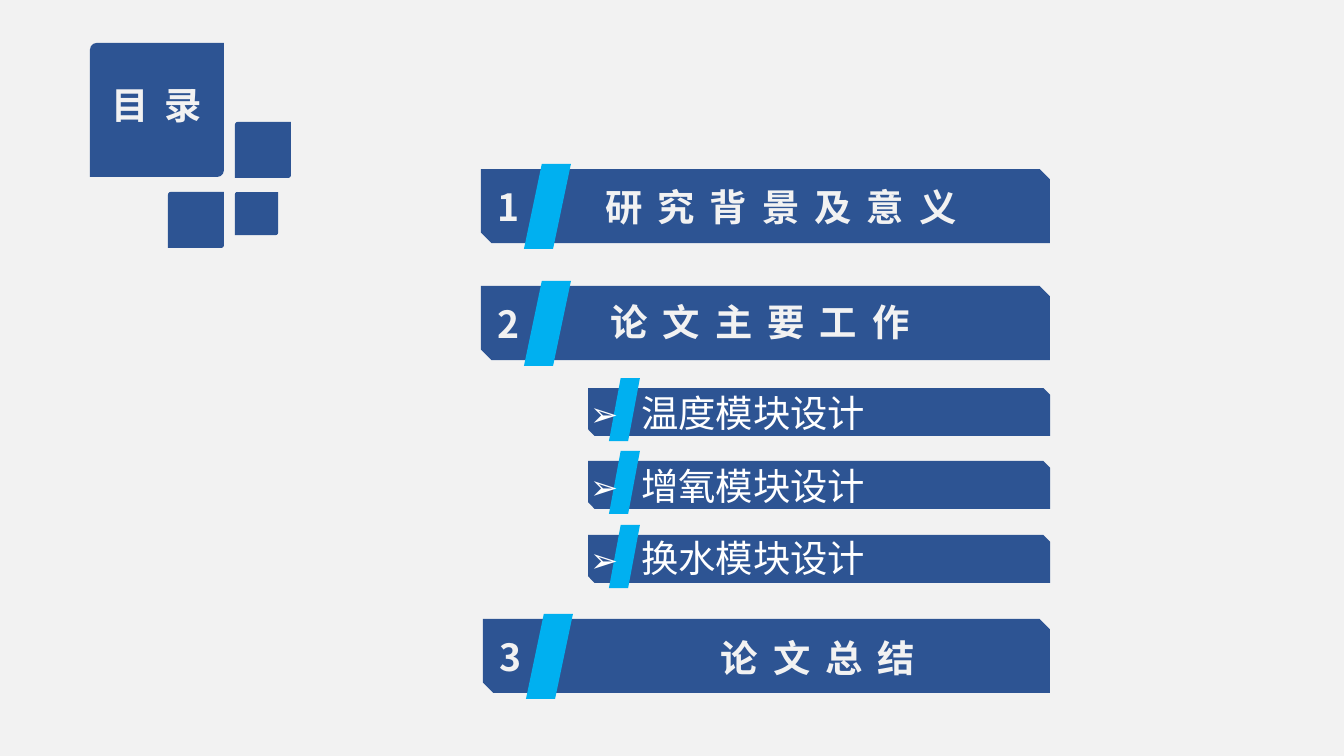
"""Build the contents slide with numbered chapter bars and a nested topic list."""
from lxml import etree
from pptx import Presentation
from pptx.dml.color import RGBColor
from pptx.enum.shapes import MSO_SHAPE as Kind
from pptx.enum.text import MSO_ANCHOR as Anchor, MSO_AUTO_SIZE as Auto, PP_ALIGN as Align
from pptx.oxml.ns import qn
from pptx.util import Inches, Pt

PX = Inches(10) / 1344
FONT = "Noto Sans CJK SC"
NAVY, CYAN, PALE, WHITE = "2D5493", "00B0F0", "F2F2F2", "FFFFFF"

deck = Presentation()
deck.slide_width, deck.slide_height = round(1344 * PX), round(756 * PX)
slide = deck.slides.add_slide(deck.slide_layouts[1])
items = slide.shapes
title, body = slide.placeholders
slide.background.fill.solid()
slide.background.fill.fore_color.rgb = RGBColor.from_string(PALE)


def block(kind, box, color, *adj):
    part = items.add_shape(kind, *[round(n * PX) for n in box])
    part.shadow.inherit = False
    part.fill.solid()
    part.fill.fore_color.rgb = RGBColor.from_string(color)
    part.line.fill.background()
    for n, ratio in enumerate(adj):
        part.adjustments[n] = ratio


def write(text, box, holder=None, color=PALE, bold=True, align=Align.CENTER,
          gap=0, inset=(9, 5), after=0, bullet=None):
    box = [round(n * PX) for n in box]
    holder = holder or items.add_textbox(*box)
    holder.left, holder.top, holder.width, holder.height = box
    frame = holder.text_frame
    frame.text = text
    frame.word_wrap = True
    frame.auto_size = Auto.NONE
    frame.vertical_anchor = Anchor.TOP
    frame.margin_left = frame.margin_right = round(inset[0] * PX)
    frame.margin_top = frame.margin_bottom = round(inset[1] * PX)
    for para in frame.paragraphs:
        para.alignment = align
        para.space_before, para.space_after = Pt(0), Pt(after)
        run = para.runs[0]
        run.font.size, run.font.bold, run.font.name = Pt(20), bold, FONT
        run.font.color.rgb = RGBColor.from_string(color)
        props = run.font._element
        etree.SubElement(props, qn("a:ea")).set("typeface", FONT)
        if gap:
            props.set("spc", str(gap * 100))
        if bullet:
            form = para._p.get_or_add_pPr()
            form.set("marL", str(round(51 * PX)))
            form.set("indent", str(round(-51 * PX)))
            etree.SubElement(form, qn("a:buSzPct")).set("val", "90000")
            etree.SubElement(form, qn("a:buFont")).set("typeface", FONT)
            etree.SubElement(form, qn("a:buChar")).set("char", bullet)
    items._spTree.append(holder._element)


for x, y, side in [(90, 43, 134), (235, 192, 43), (168, 192, 56), (235, 122, 56)]:
    block(Kind.ROUND_2_DIAG_RECTANGLE, (x, y, side, side), NAVY, 0.05, 0)
write("目 录", (90, 77, 134, 55), title, gap=2)

chapters = [
    (481, 169, "研究背景及意义", (587, 179, 388, 55)),
    (481, 286, "论文主要工作", (567, 294, 386, 55)),
    (483, 619, "论文总结", (566, 630, 504, 55)),
]
for num, (x, y, name, box) in enumerate(chapters, 1):
    block(Kind.SNIP_2_DIAG_RECTANGLE, (x, y, 1050 - x, 74), NAVY, 0, 0.14)
    block(Kind.PARALLELOGRAM, (x + 43, y - 5, 47, 85), CYAN, 0.38)
    write(str(num), (x, y + 10, 56, 55))
    write(name, box, gap=8)

topics = ["温度模块设计", "增氧模块设计", "换水模块设计"]
for row in range(len(topics)):
    y = 388 + row * 147 // 2
    block(Kind.SNIP_2_DIAG_RECTANGLE, (588, y, 462, 48), NAVY, 0, 0.14)
    block(Kind.PARALLELOGRAM, (609, y - 10, 31, 63), CYAN, 0.38)
write("\n".join(topics), (577, 383, 493, 224), body, color=WHITE, bold=False,
      align=Align.LEFT, inset=(13, 7), after=15, bullet="➢")

deck.save("out.pptx")
